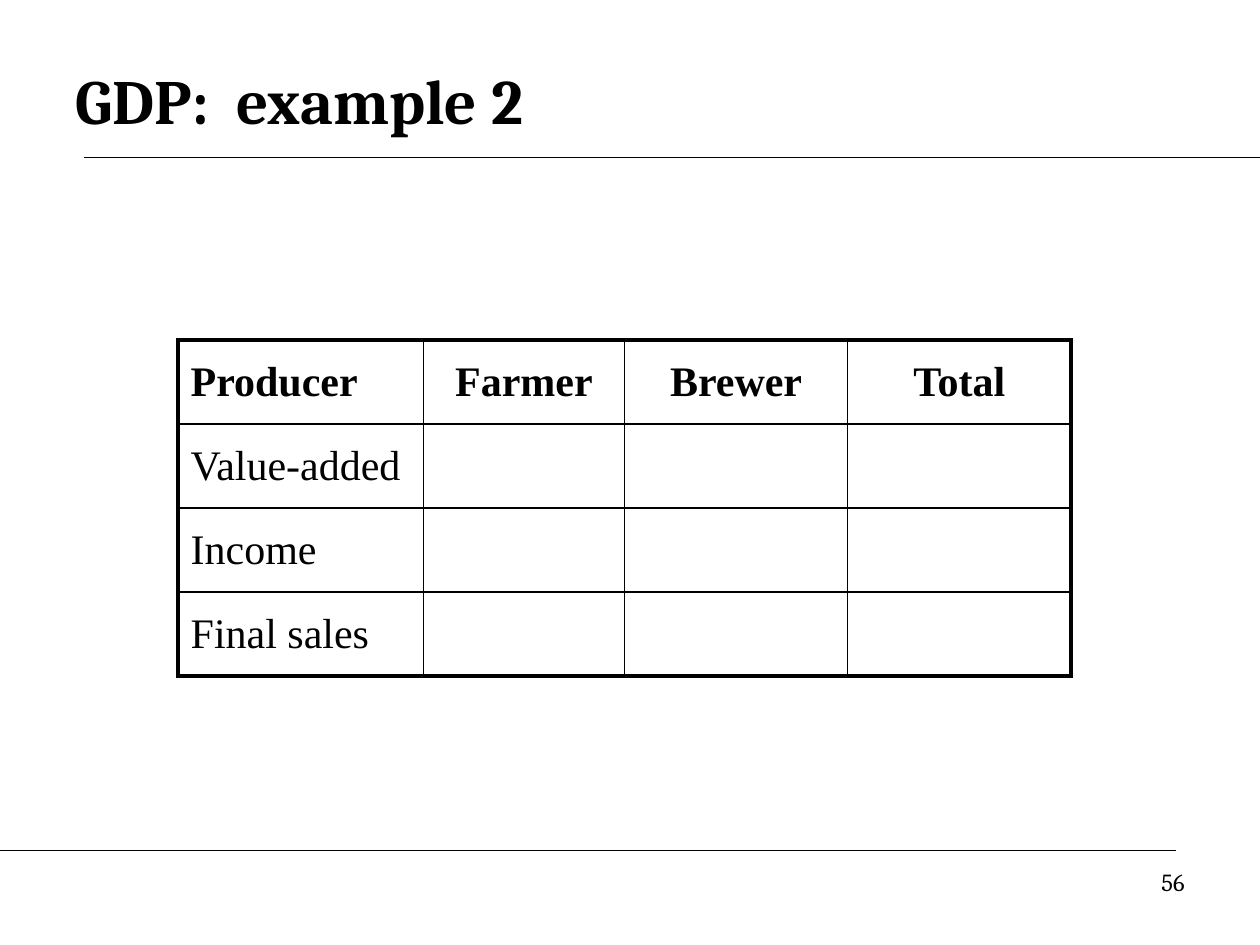
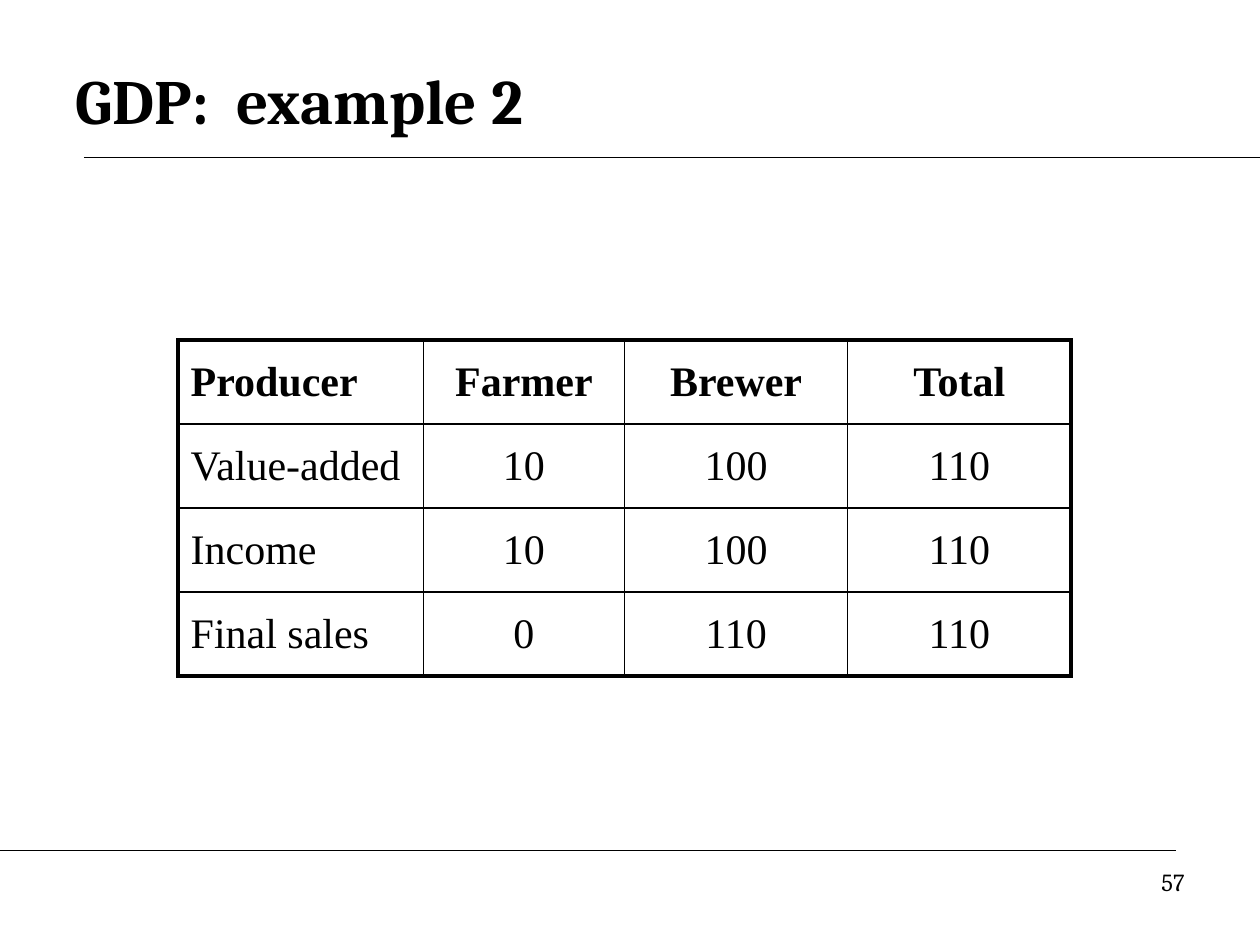
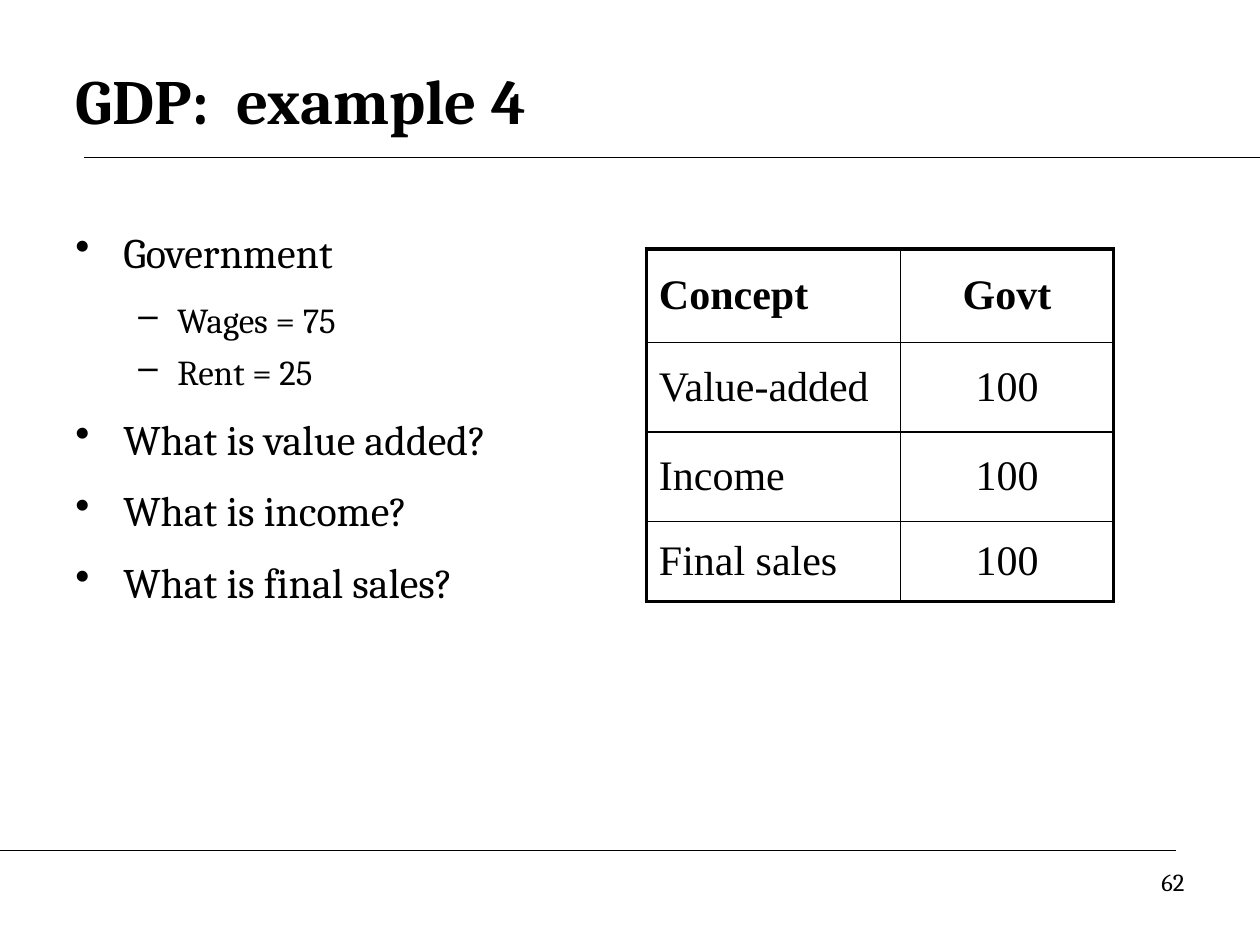
from lxml import etree
from pptx import Presentation
from pptx.dml.color import RGBColor
from pptx.enum.shapes import MSO_CONNECTOR
from pptx.enum.text import MSO_ANCHOR, PP_ALIGN
from pptx.oxml.ns import qn
from pptx.util import Inches, Pt

LEFT, CENTER, RIGHT = PP_ALIGN.LEFT, PP_ALIGN.CENTER, PP_ALIGN.RIGHT
TOP, MIDDLE = MSO_ANCHOR.TOP, MSO_ANCHOR.MIDDLE
STRAIGHT = MSO_CONNECTOR.STRAIGHT
COLS, ROWS = 60, 45
# Bullet levels: mark, indent in inches, hang in inches, text size
LEVELS = [("•", 0.38, 0.38, 24), ("–", 0.81, 0.31, 20)]


def color(code):
    return RGBColor.from_string(code)


class Deck:
    ink = "000000"
    serif = "Cambria"
    roman = "Times New Roman"
    thin, thick = 1, 2.25

    def __init__(self):
        self.prs = Presentation()
        self.prs.slide_width = Inches(10)
        self.prs.slide_height = Inches(7.5)

    def x(self, cols):
        return round(self.prs.slide_width * cols / COLS)

    def y(self, rows):
        return round(self.prs.slide_height * rows / ROWS)

    def page(self, title, number):
        """Start a slide with its title, two rules and page number."""
        self.slide = self.prs.slides.add_slide(self.prs.slide_layouts[6])
        self.rule(4, COLS, 7.5)
        self.rule(0, 56, 40.5)
        self.text(title, 3, 2, 54, 5.5, size=36, bold=True, anchor=MIDDLE)
        self.text(number, 43, 41, 14, 3.1, size=14, align=RIGHT)

    def rule(self, start, end, row):
        line = self.slide.shapes.add_connector(
            STRAIGHT, self.x(start), self.y(row), self.x(end), self.y(row))
        line.line.color.rgb = color(self.ink)
        line.line.width = Pt(0.75)
        etree.SubElement(line._element.spPr, qn("a:effectLst"))

    def style(self, para, size, font, bold=False, align=LEFT):
        para.alignment = align
        for run in para.runs:
            run.font.size = Pt(size)
            run.font.name = font
            run.font.bold = bold
            run.font.color.rgb = color(self.ink)

    def frame(self, left, top, width, height, anchor=TOP):
        box = self.slide.shapes.add_textbox(
            self.x(left), self.y(top), self.x(width), self.y(height))
        box.text_frame.word_wrap = True
        box.text_frame.vertical_anchor = anchor
        return box.text_frame

    def text(self, words, left, top, width, height, size,
             bold=False, align=LEFT, anchor=TOP):
        frame = self.frame(left, top, width, height, anchor)
        frame.text = words
        self.style(frame.paragraphs[0], size, self.serif, bold, align)

    def bullets(self, items, left, top, width, height):
        """Write (level, words) pairs as a bulleted list."""
        frame = self.frame(left, top, width, height)
        frame.text = "\n".join(words for _, words in items)
        last = None
        for para, (level, _) in zip(frame.paragraphs, items):
            mark, indent, hang, size = LEVELS[level]
            props = para._p.get_or_add_pPr()
            props.set("marL", str(Inches(indent)))
            props.set("indent", str(-Inches(hang)))
            etree.SubElement(props, qn("a:buChar"), char=mark)
            para.level = level
            if last is not None:
                para.space_before = Pt(6 if level == last == 1 else 12)
            self.style(para, size, self.serif)
            last = level

    def border(self, cell, side, width):
        line = etree.SubElement(cell._tc.get_or_add_tcPr(),
                                qn("a:ln" + side), w=str(Pt(width)))
        fill = etree.SubElement(line, qn("a:solidFill"))
        etree.SubElement(fill, qn("a:srgbClr"), val=self.ink)

    def table(self, data, left, top, widths, heights):
        """Draw a grid with a thick outline and a bold first row."""
        grid = self.slide.shapes.add_table(
            len(heights), len(widths), self.x(left), self.y(top),
            self.x(sum(widths)), self.y(sum(heights))).table
        grid.first_row = grid.horz_banding = False
        for col, width in zip(grid.columns, widths):
            col.width = self.x(width)
        for row, height in zip(grid.rows, heights):
            row.height = self.y(height)
        for r, line in enumerate(data):
            for c, words in enumerate(line):
                cell = grid.cell(r, c)
                cell.text = words
                cell.vertical_anchor = MIDDLE
                self.style(cell.text_frame.paragraphs[0], 24, self.roman,
                           r == 0, CENTER if c else LEFT)
                edges = {"L": c == 0, "R": c == len(widths) - 1,
                         "T": r == 0, "B": r == len(heights) - 1}
                for side, outer in edges.items():
                    self.border(cell, side, self.thick if outer else self.thin)
                cell.fill.background()


def main():
    deck = Deck()
    names = ["Value-added", "Income", "Final sales"]
    head = ["Producer", "Farmer", "Brewer", "Total"]
    blank = [[""] * 3] * 3
    sums = [["10", "100", "110"], ["10", "100", "110"], ["0", "110", "110"]]

    # Example 2: the empty table, then the answers
    for number, values in [("56", blank), ("57", sums)]:
        deck.page("GDP:  example 2", number)
        data = [head] + [[name] + row for name, row in zip(names, values)]
        deck.table(data, 8.48, 16.2, [11.68, 9.58, 10.63, 10.63], [4] * 4)

    # Example 4: questions beside the answers
    deck.page("GDP:  example 4", "62")
    deck.bullets([
        (0, "Government"),
        (1, "Wages = 75"),
        (1, "Rent = 25"),
        (0, "What is value added?"),
        (0, "What is income?"),
        (0, "What is final sales?"),
    ], 3, 10.5, 25.5, 26.5)
    data = [["Concept", "Govt"]] + [[name, "100"] for name in names]
    deck.table(data, 30.78, 11.85, [12.1, 10.15], [4.45, 4.27, 4.27, 3.8])

    deck.prs.save("out.pptx")


if __name__ == "__main__":
    main()
